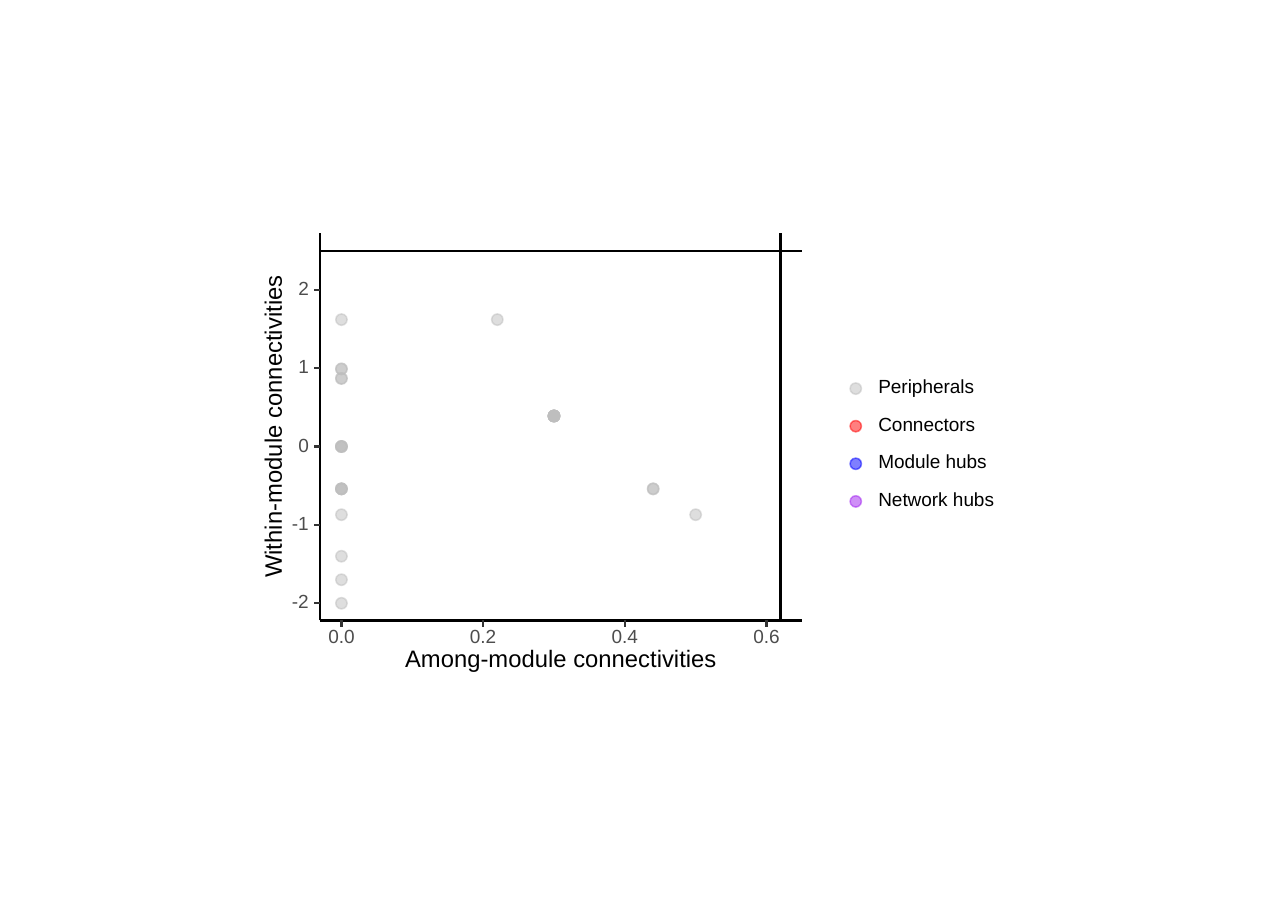
from lxml.etree import SubElement
from pptx import Presentation
from pptx.dml.color import RGBColor
from pptx.enum.shapes import MSO_CONNECTOR, MSO_SHAPE
from pptx.enum.text import MSO_ANCHOR, PP_ALIGN
from pptx.oxml.ns import qn
from pptx.util import Inches, Pt

deck = Presentation()
deck.slide_width, deck.slide_height = Inches(8.27), Inches(5.83)
slide = deck.slides.add_slide(deck.slide_layouts[6])
shapes = slide.shapes

COLORS = {
    "black": "000000", "tick": "333333", "label": "4D4D4D",
    "Peripherals": "BEBEBE", "Connectors": "FF0000",
    "Module hubs": "0000FF", "Network hubs": "A020F0",
}
COL, ROW = deck.slide_width * 0.11, deck.slide_height / 11.59
ZERO_X, ZERO_Y = 2.41 * COL, 5.7 * ROW
STEP = 0.2
LEFT, RIGHT, TOP, BASE = -0.15, 3.25, 2.73, -2.22
DOT = 0.08 * COL


def text(words, x, y, width, size=8.8, color="label", align=PP_ALIGN.CENTER, turn=0):
    wide, high = width * COL, Pt(size)
    box = shapes.add_textbox(int(ZERO_X + x * COL - wide / 2),
                             int(ZERO_Y - y * ROW - high / 2), int(wide), high)
    box.rotation = turn
    frame = box.text_frame
    frame.word_wrap = True
    frame.vertical_anchor = MSO_ANCHOR.MIDDLE
    frame.margin_left = frame.margin_right = frame.margin_top = frame.margin_bottom = 0
    para = frame.paragraphs[0]
    para.text = words
    para.alignment = align
    para.line_spacing = Pt(size)
    para.font.name = "Arial"
    para.font.size = Pt(size)
    para.font.color.rgb = RGBColor.from_string(COLORS[color])


def dot(x, y, group):
    mark = shapes.add_shape(MSO_SHAPE.OVAL, int(ZERO_X + x * COL - DOT / 2),
                            int(ZERO_Y - y * ROW - DOT / 2), int(DOT), int(DOT))
    mark.shadow.inherit = False
    mark.fill.solid()
    mark.line.width = Pt(0.71)
    for paint in (mark.fill, mark.line.fill):
        paint.solid()
        paint.fore_color.rgb = RGBColor.from_string(COLORS[group])
    for tint in mark._element.spPr.iter(qn("a:srgbClr")):
        SubElement(tint, qn("a:alpha"), val="50000")


points = [
    (0, 1.62, 1), (0, 0.99, 2), (0, 0.87, 2), (0, 0, 4), (0, -0.54, 4),
    (0, -0.87, 1), (0, -1.4, 1), (0, -1.7, 1), (0, -2, 1),
    (0.22, 1.62, 1), (0.3, 0.39, 8), (0.44, -0.54, 2), (0.5, -0.87, 1),
]
for among, within, count in points:
    for _ in range(count):
        dot(among / STEP, within, "Peripherals")

lines = [
    (0.62 / STEP, BASE, 0.62 / STEP, TOP, "black"),
    (LEFT, 2.5, RIGHT, 2.5, "black"),
    (LEFT, BASE, LEFT, TOP, "black"),
    (LEFT, BASE, RIGHT, BASE, "black"),
]
for within in range(-2, 3):
    lines.append((LEFT - 0.04, within, LEFT, within, "tick"))
    text(f"{within}", LEFT - 0.18, within, 0.2, align=PP_ALIGN.RIGHT)
for tick in range(4):
    lines.append((tick, BASE - 0.08, tick, BASE, "tick"))
    text(f"{tick * STEP:.1f}", tick, -2.44, 0.3)

for x1, y1, x2, y2, color in lines:
    rule = shapes.add_connector(
        MSO_CONNECTOR.STRAIGHT, int(ZERO_X + x1 * COL), int(ZERO_Y - y1 * ROW),
        int(ZERO_X + x2 * COL), int(ZERO_Y - y2 * ROW))
    rule.line.width = Pt(1.07)
    rule.line.color.rgb = RGBColor.from_string(COLORS[color])
    SubElement(rule._element.spPr, qn("a:effectLst"))

text("Among-module connectivities", (LEFT + RIGHT) / 2, -2.73, 2.4, size=11, color="black")
text("Within-module connectivities", -0.47, (TOP + BASE) / 2, 2.4, size=11,
     color="black", turn=270)

for rank, group in enumerate(["Peripherals", "Connectors", "Module hubs", "Network hubs"]):
    level = 0.74 - 0.48 * rank
    dot(3.63, level, group)
    text(group, 4.24, level + 0.01, 0.9, color="black", align=PP_ALIGN.LEFT)

deck.save("out.pptx")
